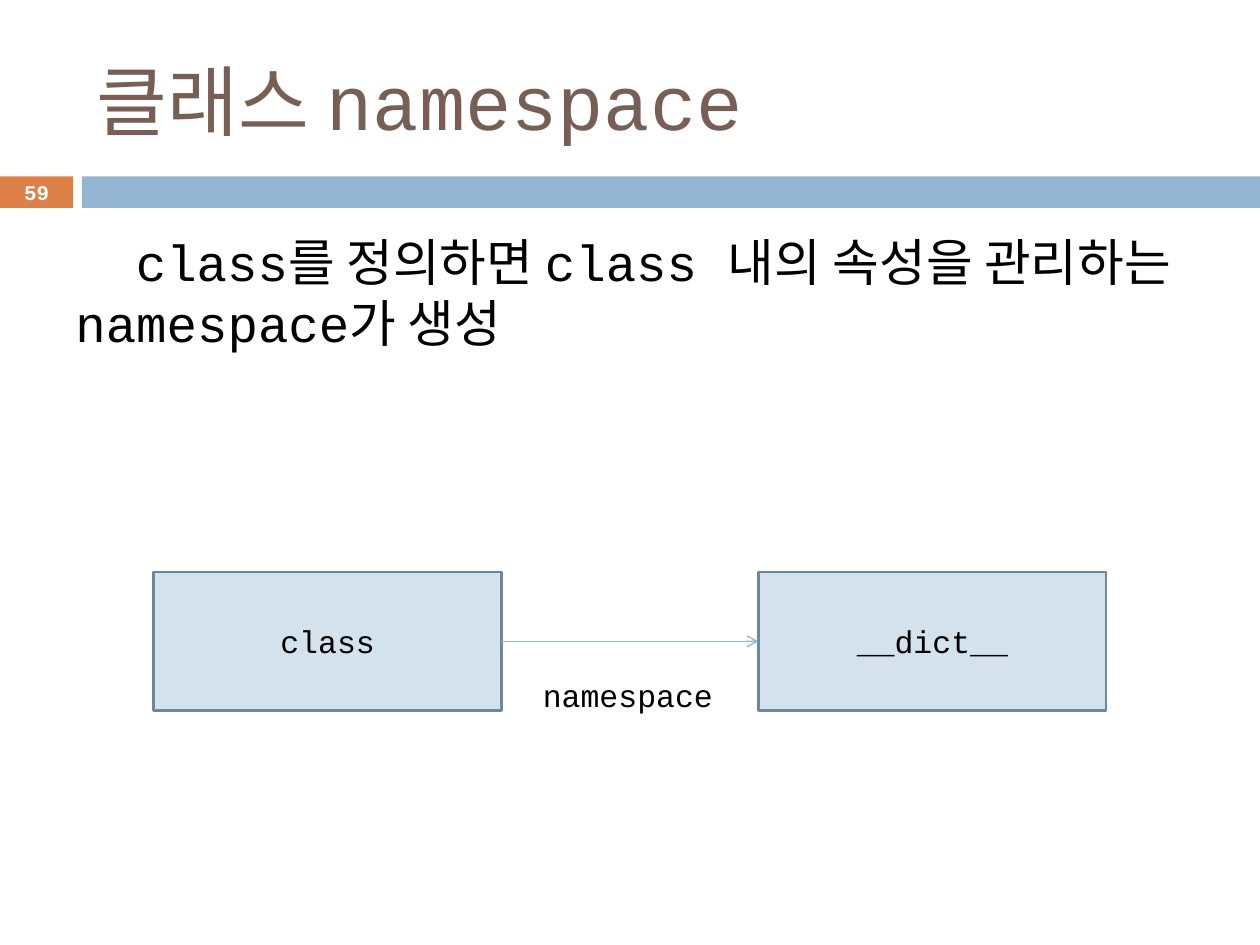
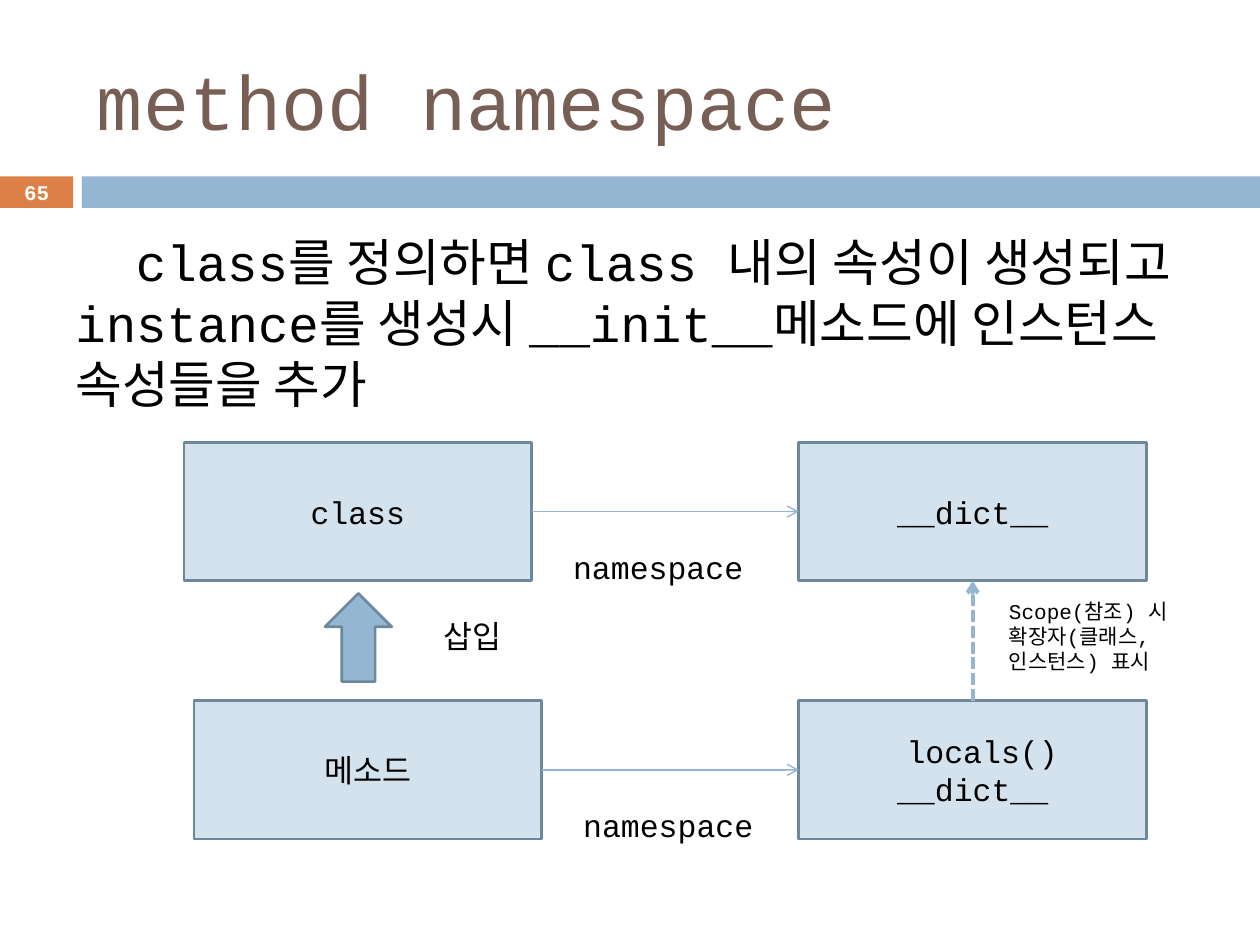
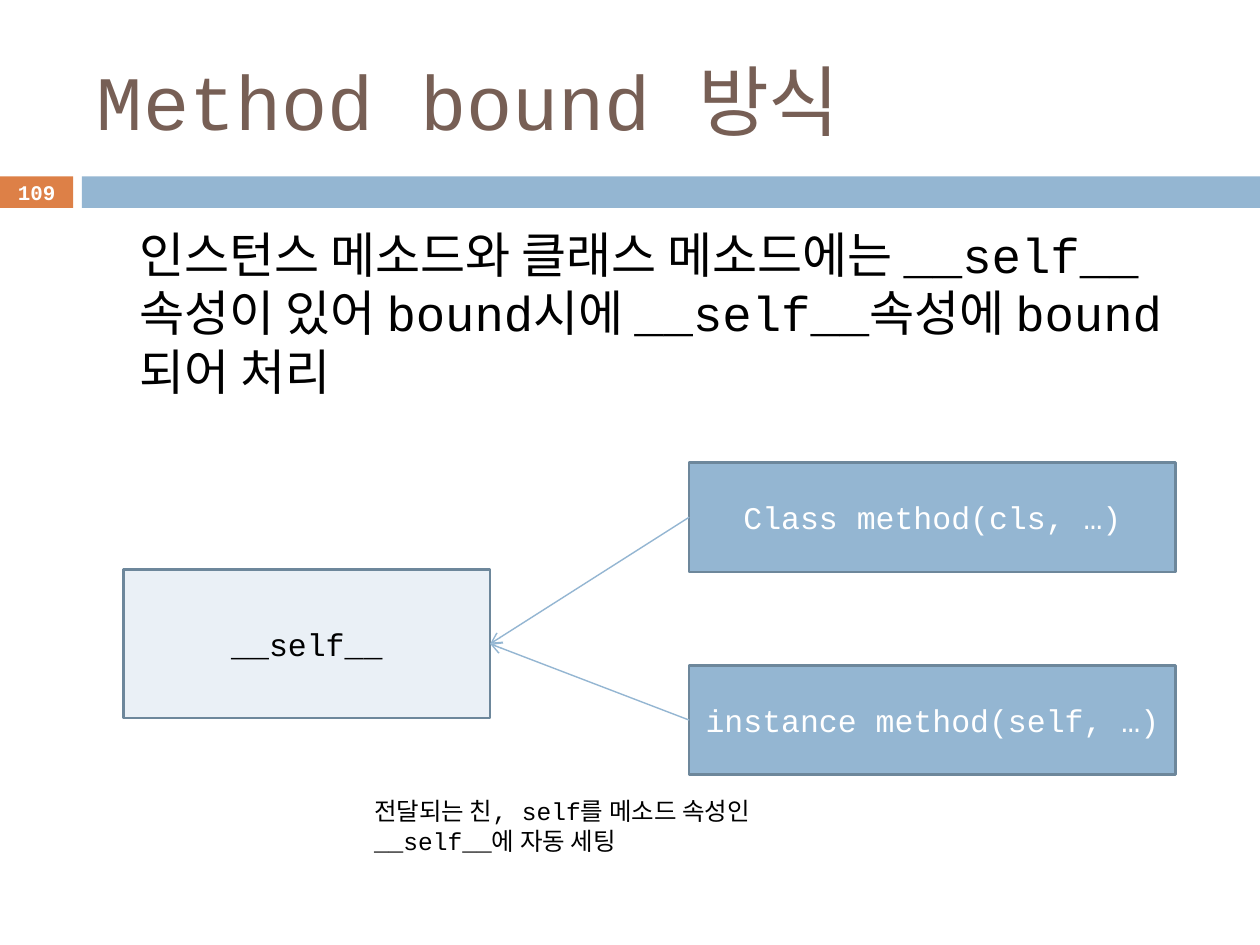
import pptx
import pptx.dml.color
import pptx.enum.dml
import pptx.enum.shapes
import pptx.enum.text
import pptx.oxml
import pptx.oxml.ns
import pptx.util

Inches = pptx.util.Inches
Pt = pptx.util.Pt
SHAPES = pptx.enum.shapes.MSO_SHAPE
MIDDLE = pptx.enum.text.MSO_ANCHOR.MIDDLE
CENTER = pptx.enum.text.PP_ALIGN.CENTER
SQUARE_DOT = pptx.enum.dml.MSO_LINE.SQUARE_DOT

FONT = "Courier New"
COLORS = {
    "title": "775F55",
    "number": "DD8047",
    "blue": "94B6D2",
    "pale": "D4E2ED",
    "paler": "EAF0F6",
    "outline": "6D879B",
    "black": "000000",
    "white": "FFFFFF",
}
RGB = {name: pptx.dml.color.RGBColor.from_string(value) for name, value in COLORS.items()}
TOP, LEFT, BOTTOM, RIGHT = range(4)
NODE = (2.76, 1.1)
METHOD = (3.86, 0.87)
LABEL = (1.57, 0.4)

# boxes: name, text, left, top, size, fill, text colour
# links: from box, side, to box, side, width, dash
# labels: text, left, top, size, font size
SLIDES = [
    {
        "title": "클래스 namespace",
        "number": "59",
        "body": ("class를 정의하면 class 내의 속성을 관리하는 namespace가 생성",
                 (0.5, 1.78, 9, 1.81), 29, {"indent": Inches(0.48)}),
        "boxes": [
            ("class", "class", 1.22, 4.54, NODE, "pale", "black"),
            ("dict", "__dict__", 6.02, 4.54, NODE, "pale", "black"),
        ],
        "links": [("class", RIGHT, "dict", LEFT, 0.79, None)],
        "labels": [("namespace", 4.21, 5.32, LABEL, 18)],
    },
    {
        "title": "method namespace",
        "number": "65",
        "body": ("class를 정의하면 class 내의 속성이 생성되고 instance를 생성시 "
                 "__init__메소드에 인스턴스 속성들을 추가",
                 (0.5, 1.78, 9, 1.81), 29, {"indent": Inches(0.48)}),
        "boxes": [
            ("class", "class", 1.46, 3.51, NODE, "pale", "black"),
            ("dict", "__dict__", 6.34, 3.51, NODE, "pale", "black"),
            ("method", "메소드", 1.54, 5.56, NODE, "pale", "black"),
            ("locals", " locals()\n__dict__", 6.34, 5.56, NODE, "pale", "black"),
        ],
        "links": [
            ("class", RIGHT, "dict", LEFT, 0.79, None),
            ("method", RIGHT, "locals", LEFT, 0.79, None),
            ("locals", TOP, "dict", BOTTOM, 2.25, SQUARE_DOT),
        ],
        "labels": [
            ("namespace", 4.45, 4.3, LABEL, 18),
            ("namespace", 4.53, 6.35, LABEL, 18),
            ("Scope(참조) 시 확장자(클래스, 인스턴스) 표시", 7.91, 4.7, (1.73, 0.71), 12),
            ("삽입", 3.42, 4.85, (0.87, 0.4), 18),
        ],
        "insert_arrow": (2.58, 4.71, 0.53, 0.7),
    },
    {
        "title": "Method bound 방식",
        "number": "109",
        "body": ("인스턴스 메소드와 클래스 메소드에는 __self__속성이 있어 bound시에 "
                 "__self__속성에 bound되어 처리",
                 (0.51, 1.73, 9, 1), 28, {"marL": Inches(0.5)}),
        "boxes": [
            ("self", "__self__", 0.98, 4.52, (2.91, 1.18), "paler", "black"),
            ("class method", "Class method(cls, …)", 5.47, 3.67, METHOD, "blue", "white"),
            ("instance method", "instance method(self, …)", 5.47, 5.28, METHOD, "blue", "white"),
        ],
        "links": [
            ("class method", LEFT, "self", RIGHT, 0.79, None),
            ("instance method", LEFT, "self", RIGHT, 0.79, None),
        ],
        "labels": [("전달되는 친, self를 메소드 속성인 __self__에 자동 세팅",
                    2.87, 6.27, (3.31, 0.57), 14)],
    },
]


def add_shape(slide, kind, area, fill, outlined=True):
    shape = slide.shapes.add_shape(kind, *map(Inches, area))
    shape.shadow.inherit = False
    shape.fill.solid()
    shape.fill.fore_color.rgb = RGB[fill]
    if outlined:
        shape.line.color.rgb = RGB["outline"]
        shape.line.width = Pt(1.5)
    else:
        shape.line.fill.background()
    return shape


def write(slide, text, size, color="black", area=None, shape=None, anchor=None,
          align=None, bold=False, indents=None):
    """Write text into the shape, or into a new text box covering the area."""
    shape = shape or slide.shapes.add_textbox(*map(Inches, area))
    frame = shape.text_frame
    frame.word_wrap = True
    if anchor is not None:
        frame.vertical_anchor = anchor
    frame.text = text
    font_format = {"name": FONT, "size": Pt(size), "bold": bold}
    for paragraph in frame.paragraphs:
        paragraph.alignment = align
        for name, value in (indents or {}).items():
            paragraph._p.get_or_add_pPr().set(name, str(value))
        for run in paragraph.runs:
            for name, value in font_format.items():
                setattr(run.font, name, value)
            run.font.color.rgb = RGB[color]


presentation = pptx.Presentation()
presentation.slide_width = Inches(10)
presentation.slide_height = Inches(7.5)

for content in SLIDES:
    slide = presentation.slides.add_slide(presentation.slide_layouts[6])
    add_shape(slide, SHAPES.RECTANGLE, (0, 1.4, 0.58, 0.25), "number", outlined=False)
    add_shape(slide, SHAPES.RECTANGLE, (0.65, 1.4, 9.35, 0.25), "blue", outlined=False)
    write(slide, content["title"], 44, "title", (0.67, 0.25, 8.92, 1.08), anchor=MIDDLE)
    body, area, size, indents = content["body"]
    write(slide, body, size, area=area, indents=indents)

    boxes = {}
    for name, text, left, top, size, fill, color in content["boxes"]:
        boxes[name] = add_shape(slide, SHAPES.RECTANGLE, (left, top, *size), fill)
        write(slide, text, 18, color, shape=boxes[name], anchor=MIDDLE, align=CENTER)

    for start, start_side, end, end_side, width, dash in content["links"]:
        connector = slide.shapes.add_connector(
            pptx.enum.shapes.MSO_CONNECTOR.STRAIGHT, 0, 0, 0, 0)
        connector.begin_connect(boxes[start], start_side)
        connector.end_connect(boxes[end], end_side)
        connector.line.color.rgb = RGB["blue"]
        connector.line.width = Pt(width)
        if dash is not None:
            connector.line.dash_style = dash
        tail = pptx.oxml.parse_xml(
            f'<a:tailEnd {pptx.oxml.ns.nsdecls("a")} type="arrow"/>')
        connector.line._get_or_add_ln().append(tail)
        connector._element.spPr.append(
            pptx.oxml.parse_xml(f'<a:effectLst {pptx.oxml.ns.nsdecls("a")}/>'))

    if "insert_arrow" in content:
        add_shape(slide, SHAPES.UP_ARROW, content["insert_arrow"], "blue")
    for text, left, top, size, font_size in content["labels"]:
        write(slide, text, font_size, area=(left, top, *size))
    write(slide, content["number"], 11.9, "white", (0, 1.39, 0.58, 0.27),
          anchor=MIDDLE, align=CENTER, bold=True)

presentation.save("out.pptx")
